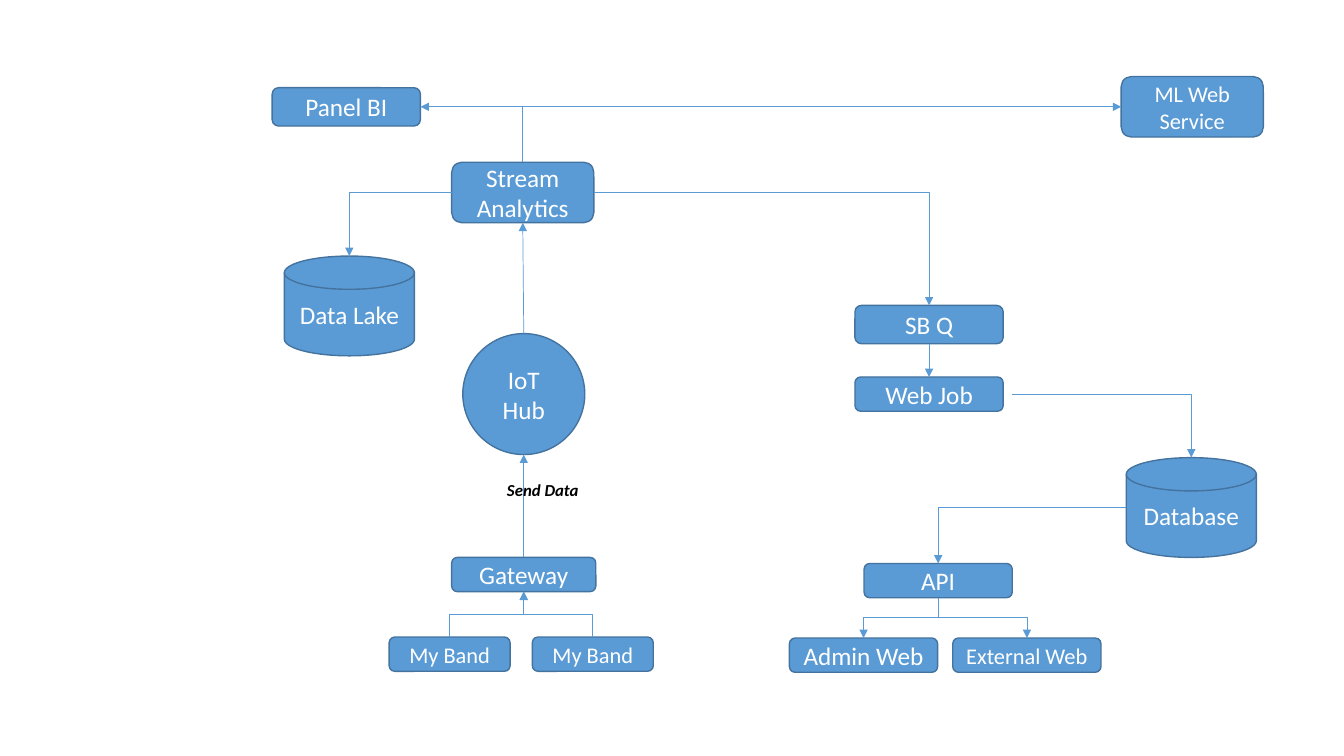
from pptx import Presentation
from pptx.util import Inches, Pt
from pptx.dml.color import RGBColor
from pptx.enum.shapes import MSO_SHAPE as SHAPE, MSO_CONNECTOR as CONN
from pptx.enum.text import PP_ALIGN, MSO_ANCHOR
from pptx.oxml.ns import qn
from lxml.etree import SubElement

BLUE = RGBColor(0x5B, 0x9B, 0xD5)
EDGE = RGBColor(0x43, 0x73, 0x9E)
WHITE = RGBColor(0xFF, 0xFF, 0xFF)
BLACK = RGBColor(0, 0, 0)
FONT = "Calibri"
BAR_W, BAR_H, TALL_BAR_H = 1.47, 0.34, 0.38
BLOCK_W, BLOCK_H = 1.41, 0.6
DISK_W, DISK_H = 1.29, 0.99


def style_run(p, size, color):
    r = p.runs[0]
    r.font.name, r.font.size = FONT, Pt(size)
    r.font.color.rgb = color
    return r


def node(s, text, x, y, w, h, size=18, kind=SHAPE.ROUNDED_RECTANGLE):
    sp = s.shapes.add_shape(kind, Inches(x), Inches(y), Inches(w), Inches(h))
    sp.shadow.inherit = False
    sp.fill.solid()
    sp.fill.fore_color.rgb = BLUE
    sp.line.color.rgb = EDGE
    sp.line.width = Pt(1)
    tf = sp.text_frame
    tf.word_wrap = True
    tf.vertical_anchor = MSO_ANCHOR.MIDDLE
    tf.text = text
    p = tf.paragraphs[0]
    p.alignment = PP_ALIGN.CENTER
    style_run(p, size, WHITE)
    return sp


def disk(s, text, x, y):
    return node(s, text, x, y, DISK_W, DISK_H, kind=SHAPE.FLOWCHART_MAGNETIC_DISK)


def top(sp):
    return sp.left + sp.width // 2, sp.top


def bottom(sp):
    return sp.left + sp.width // 2, sp.top + sp.height


def left(sp):
    return sp.left, sp.top + sp.height // 2


def right(sp):
    return sp.left + sp.width, sp.top + sp.height // 2


def arrow(s, start, end, kind=CONN.STRAIGHT):
    c = s.shapes.add_connector(kind, *start, *end)
    c.line.color.rgb = BLUE
    c.line.width = Pt(0.5)
    SubElement(c.line._get_or_add_ln(), qn("a:tailEnd"), type="triangle")
    SubElement(c._element.spPr, qn("a:effectLst"))
    return c


def elbow(s, start, end, vertical=False, bends=1):
    (x1, y1), (x2, y2) = start, end
    dx, dy = x2 - x1, y2 - y1
    if vertical:
        cx, cy = (x1 + x2) // 2, (y1 + y2) // 2
        half_w, half_h = abs(dy) // 2, abs(dx) // 2
        if (dx > 0) == (dy > 0):
            half_h = -half_h
        start, end = (cx - half_w, cy - half_h), (cx + half_w, cy + half_h)
    c = arrow(s, start, end, CONN.ELBOW)
    spPr = c._element.spPr
    if vertical:
        spPr.find(qn("a:xfrm")).set("rot", str((90 if dy > 0 else 270) * 60000))
    if bends == 1:
        spPr.find(qn("a:prstGeom")).set("prst", "bentConnector2")


def ingestion(s, x, y):
    hub = node(s, "IoT Hub", x + 0.73, y, 1.21, 1.2, kind=SHAPE.OVAL)
    gateway = node(s, "Gateway", x + 0.62, y + 2.22, 1.43, BAR_H)
    for i in range(2):
        band = node(s, "My Band", x + i * 1.42, y + 3.01, 1.2, BAR_H, 16)
        elbow(s, top(band), bottom(gateway), vertical=True, bends=2)
    arrow(s, top(gateway), bottom(hub))
    tb = s.shapes.add_textbox(Inches(x + 1.07), Inches(y + 1.4), Inches(0.92), Inches(0.3))
    tb.text_frame.word_wrap = False
    tb.text_frame.text = "Send Data"
    r = style_run(tb.text_frame.paragraphs[0], 12, BLACK)
    r.font.bold = r.font.italic = True
    return hub


def analytics(s, x, y, hub):
    stream = node(s, "Stream Analytics", x + 1.78, y + 0.85, BLOCK_W, BLOCK_H)
    report = node(s, "Panel BI", x, y + 0.11, BAR_W, TALL_BAR_H)
    service = node(s, "ML Web Service", x + 8.42, y, BLOCK_W, BLOCK_H, 16)
    lake = disk(s, "Data Lake", x + 0.12, y + 1.78)
    arrow(s, top(hub), bottom(stream))
    elbow(s, top(stream), right(report), vertical=True)
    elbow(s, top(stream), left(service), vertical=True)
    elbow(s, left(stream), top(lake))
    return stream


def web(s, x, y, stream):
    queue = node(s, "SB Q", x + 0.65, y, BAR_W, TALL_BAR_H)
    job = node(s, "Web Job", x + 0.65, y + 0.71, BAR_W, BAR_H)
    database = disk(s, "Database", x + 3.34, y + 1.51)
    api = node(s, "API", x + 0.74, y + 2.56, BAR_W, BAR_H)
    elbow(s, right(stream), top(queue))
    arrow(s, bottom(queue), top(job))
    job_x, job_y = right(job)
    elbow(s, (job_x + Inches(0.09), job_y), top(database))
    elbow(s, left(database), top(api))
    for i, (text, size) in enumerate([("Admin Web", 18), ("External Web", 16)]):
        site = node(s, text, x + i * 1.62, y + 3.3, BAR_W, BAR_H, size)
        elbow(s, bottom(api), top(site), vertical=True, bends=2)


prs = Presentation()
prs.slide_width, prs.slide_height = Inches(13.33), Inches(7.5)
s = prs.slides.add_slide(prs.slide_layouts[6])
hub = ingestion(s, 3.86, 3.31)
stream = analytics(s, 2.7, 0.76, hub)
web(s, 7.83, 3.03, stream)
prs.save("out.pptx")
